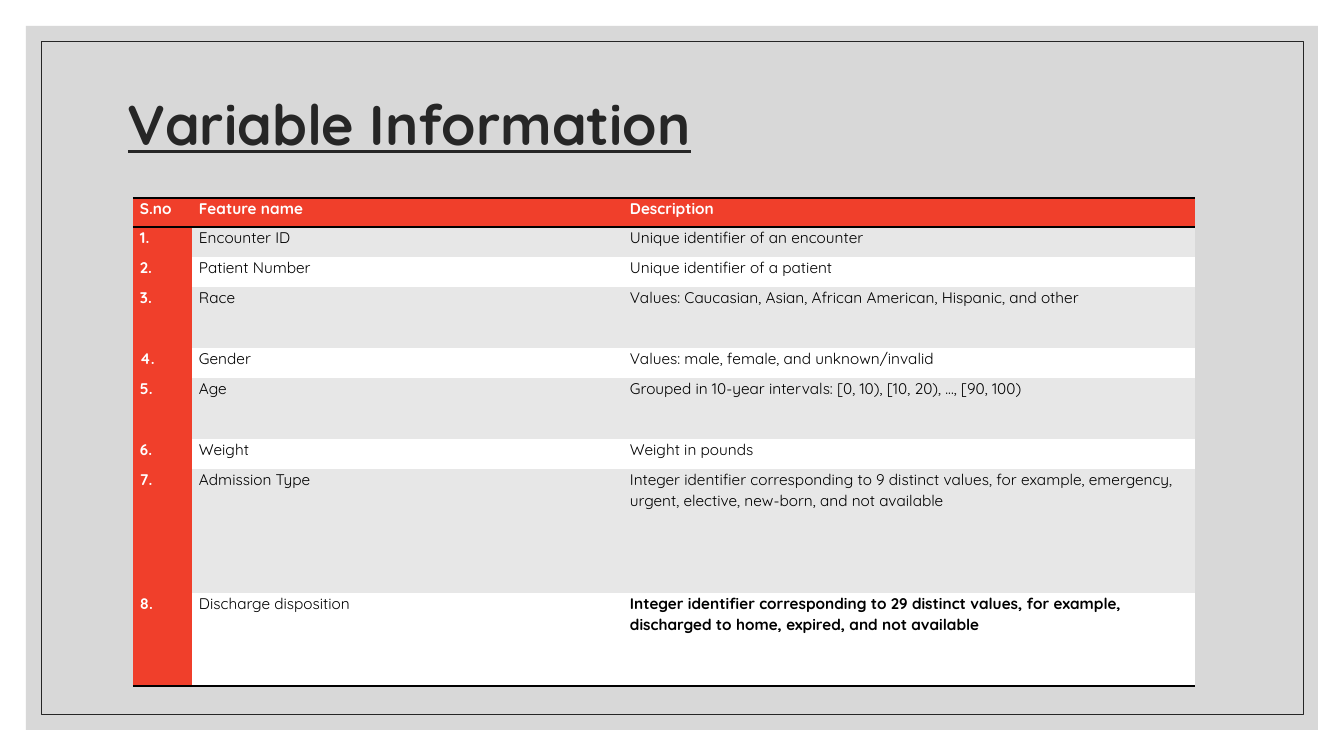
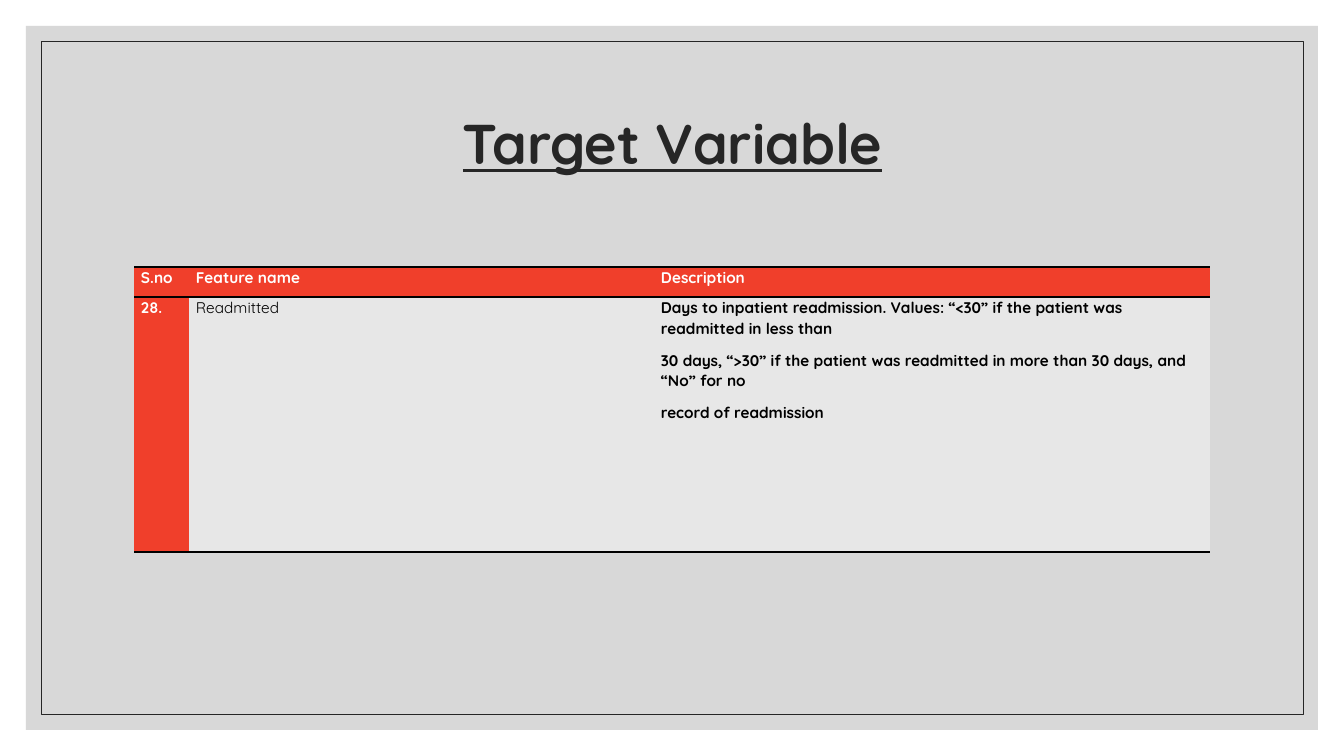
from lxml import etree
from pptx import Presentation
from pptx.dml.color import RGBColor
from pptx.enum.shapes import MSO_SHAPE
from pptx.enum.text import MSO_ANCHOR, PP_ALIGN
from pptx.oxml.ns import qn
from pptx.util import Emu, Inches, Pt

RECTANGLE = MSO_SHAPE.RECTANGLE
MIDDLE = MSO_ANCHOR.MIDDLE
LEFT, CENTER = PP_ALIGN.LEFT, PP_ALIGN.CENTER

PIXELS_PER_INCH = 100.8
FONT = "Quicksand"
COLORS = {
    "backdrop": "BFBFBF",
    "ink": "262626",
    "accent": "F03F2B",
    "band": "E7E7E7",
    "white": "FFFFFF",
    "black": "000000",
}
BACKDROP_BOX = (26, 26, 1292, 704)
FRAME_BOX = (41, 41, 1262, 673)
BACKDROP_OPACITY = 60
PLAIN_TABLE_STYLE = "{2D5ABB26-0587-4C30-8999-92F81FD0307C}"
CELL_MARGIN = 7
RULE_WIDTH = 2

HEADER = ("S.no", "Feature name", "Description")
FEATURES = [
    ("1.", "Encounter ID", "Unique identifier of an encounter"),
    ("2.", "Patient Number", "Unique identifier of a patient"),
    ("3.", "Race", "Values: Caucasian, Asian, African American, Hispanic, and other"),
    ("4.", "Gender", "Values: male, female, and unknown/invalid"),
    ("5.", "Age", "Grouped in 10-year intervals: [0, 10), [10, 20), ..., [90, 100)"),
    ("6.", "Weight", "Weight in pounds"),
    ("7.", "Admission Type",
     "Integer identifier corresponding to 9 distinct values, for example, "
     "emergency, urgent, elective, new-born, and not available"),
    ("8.", "Discharge disposition",
     "Integer identifier corresponding to 29 distinct values, for example, "
     "discharged to home, expired, and not available"),
]
TARGET = [
    ("28.", "Readmitted",
     "Days to inpatient readmission. Values: “<30” if the patient was "
     "readmitted in less than\n"
     "30 days, “>30” if the patient was readmitted in more than 30 days, "
     "and “No” for no\n"
     "record of readmission"),
]


def px(pixels):
    """Turn pixels into EMU."""
    return Emu(round(pixels * Inches(1) / PIXELS_PER_INCH))


def color(name):
    """Look up a named colour."""
    return RGBColor.from_string(COLORS[name])


def style_font(font, size, color_name, bold):
    """Set the shared typeface with a size, colour and weight."""
    font.name = FONT
    font.size = Pt(size)
    font.bold = bold
    font.color.rgb = color(color_name)


def add_rectangle(slide, box):
    """Add a rectangle without shadow to the given box."""
    shape = slide.shapes.add_shape(RECTANGLE, *map(px, box))
    shape.shadow.inherit = False
    return shape


def add_background(slide):
    """Draw the translucent backdrop and the thin frame."""
    backdrop = add_rectangle(slide, BACKDROP_BOX)
    backdrop.fill.solid()
    backdrop.fill.fore_color.rgb = color("backdrop")
    backdrop.line.fill.background()
    fill_color = backdrop.fill._xPr.find(".//" + qn("a:srgbClr"))
    etree.SubElement(fill_color, qn("a:alpha"), val=str(BACKDROP_OPACITY * 1000))

    frame = add_rectangle(slide, FRAME_BOX)
    frame.fill.background()
    frame.line.color.rgb = color("ink")
    frame.line.width = Pt(0.5)


def add_title(slide, box, text, alignment):
    """Write the underlined slide title, centred vertically in the box."""
    text_frame = slide.shapes.add_textbox(*map(px, box)).text_frame
    text_frame.word_wrap = True
    text_frame.vertical_anchor = MIDDLE
    paragraph = text_frame.paragraphs[0]
    paragraph.text = text
    paragraph.alignment = alignment
    paragraph.line_spacing = 0.9
    style_font(paragraph.font, 40, "ink", True)
    paragraph.font.underline = True


def add_rules(cell, sides):
    """Draw black rules on the given sides ("T", "B") of a cell."""
    properties = cell._tc.get_or_add_tcPr()
    for position, side in enumerate(sides):
        line = etree.Element(qn(f"a:ln{side}"), w=str(Pt(RULE_WIDTH)))
        fill = etree.SubElement(line, qn("a:solidFill"))
        etree.SubElement(fill, qn("a:srgbClr"), val=COLORS["black"])
        properties.insert(position, line)


def fill_cell(cell, text, fill_name, text_color, bold):
    """Fill a cell and write its text, one paragraph a line."""
    cell.margin_left = cell.margin_right = px(CELL_MARGIN)
    cell.margin_top = cell.margin_bottom = 0
    cell.fill.solid()
    cell.fill.fore_color.rgb = color(fill_name)
    cell.text = text
    for paragraph in cell.text_frame.paragraphs:
        paragraph.line_spacing = 1.07
        paragraph.space_after = Pt(8)
        style_font(paragraph.font, 11, text_color, bold)


def add_feature_table(slide, origin, widths, heights, features):
    """Build a banded table with a red header row and number column."""
    rows = [HEADER, *features]
    box = (*origin, sum(widths), sum(heights))
    table = slide.shapes.add_table(len(rows), len(HEADER), *map(px, box)).table
    table.first_row = table.horz_banding = False
    table._tbl.tblPr.find(qn("a:tableStyleId")).text = PLAIN_TABLE_STYLE
    for column, width in zip(table.columns, widths):
        column.width = px(width)

    last_row, last_column = len(rows) - 1, len(HEADER) - 1
    for row_index, (values, height) in enumerate(zip(rows, heights)):
        table.rows[row_index].height = px(height)
        for column_index, value in enumerate(values):
            cell = table.cell(row_index, column_index)
            if row_index == 0 or column_index == 0:
                fill_cell(cell, value, "accent", "white", True)
            else:
                band = "band" if row_index % 2 else "white"
                is_last = (row_index, column_index) == (last_row, last_column)
                fill_cell(cell, value, band, "black", is_last)
            if row_index == 0:
                add_rules(cell, "TB")
            elif row_index == last_row:
                add_rules(cell, "B")


def add_table_slide(presentation, title, title_box, alignment, **table_parts):
    """Add a framed slide with a title and a feature table."""
    slide = presentation.slides.add_slide(presentation.slide_layouts[6])
    add_background(slide)
    add_title(slide, title_box, title, alignment)
    add_feature_table(slide, **table_parts)


def main():
    """Build and save the presentation."""
    presentation = Presentation()
    presentation.slide_width = px(1344)
    presentation.slide_height = px(756)
    add_table_slide(
        presentation, "Variable Information", (118, 49, 1109, 157), LEFT,
        origin=(133, 198), widths=(59, 431, 572),
        heights=(29, 30, 30, 61, 30, 61, 30, 124, 93), features=FEATURES)
    add_table_slide(
        presentation, "Target Variable", (118, 71, 1109, 151), CENTER,
        origin=(134, 267), widths=(55, 465, 556),
        heights=(30, 255), features=TARGET)
    presentation.save("out.pptx")


main()
